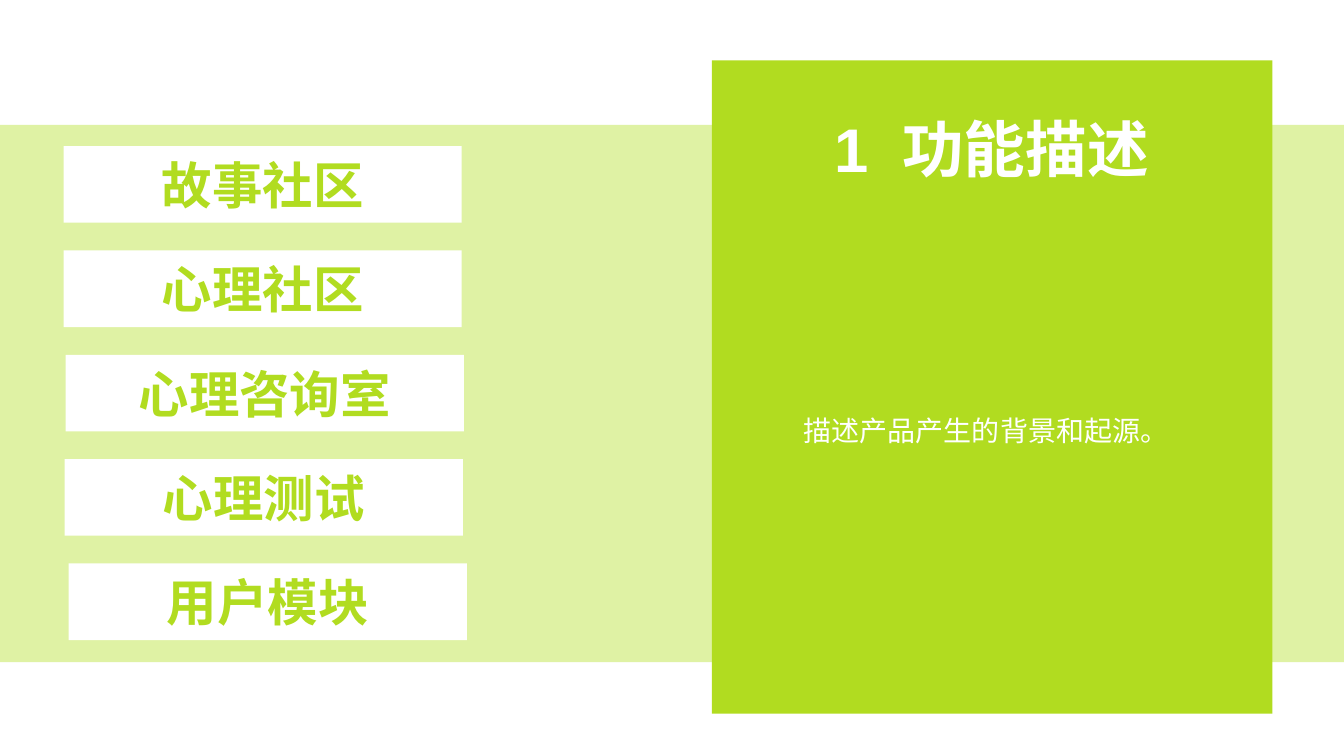
from pptx import Presentation
from pptx.dml.color import RGBColor
from pptx.enum import shapes, text
from pptx.oxml import parse_xml
from pptx.oxml.ns import nsdecls
from pptx.util import Inches, Pt

GREEN, PALE, WHITE = "B1DC20", "DFF2A4", "FFFFFF"
LATIN, CHINESE = "Arial", "Noto Sans CJK SC"

BAND = (0, 1.24, 13.33, 5.33)
PANEL = (7.06, 0.6, 5.56, 6.48)
TITLE_AREA = (7.73, 1.05, 4.21, 0.84)
SUMMARY_AREA = (7.77, 3.89, 4.02, 0.61)
TITLE = ["1", " ", "功能描述"]
NUMBER_GAP = 12  # points added after the section number
SUMMARY = ["描述产品产生的背景和起源。"]

# Label and left edge
MODULES = [
    ("故事社区", 0.63),
    ("心理社区", 0.63),
    ("心理咨询室", 0.65),
    ("心理测试", 0.64),
    ("用户模块", 0.68),
]
MODULE_TOP, MODULE_PITCH = 1.45, 1.035
MODULE_WIDTH, MODULE_HEIGHT = 3.95, 0.76


def color(value):
    return RGBColor.from_string(value)


def add_block(page, area, fill):
    block = page.shapes.add_shape(
        shapes.MSO_SHAPE.RECTANGLE, *(Inches(length) for length in area))
    block.shadow.inherit = False
    block.fill.solid()
    block.fill.fore_color.rgb = color(fill)
    block.line.fill.background()
    return block


def write(box, words, size, font, ink, bold=False, spacing=None):
    """Fill the box with one centred paragraph and return its spans."""
    box.text_frame.word_wrap = True
    para = box.text_frame.paragraphs[0]
    para.alignment = text.PP_ALIGN.CENTER
    if spacing:
        para.line_spacing = spacing
    formats = {"size": Pt(size), "bold": bold, "name": font}
    spans = []
    for word in words:
        span = para.add_run()
        span.text = word
        for name, value in formats.items():
            setattr(span.font, name, value)
        span.font.color.rgb = color(ink)
        latin = span._r.rPr.find("{*}latin")
        latin.addnext(parse_xml(f'<a:ea {nsdecls("a")} typeface="{CHINESE}"/>'))
        spans.append(span)
    return spans


def add_text(page, area, words, size, **look):
    box = page.shapes.add_textbox(*(Inches(length) for length in area))
    return write(box, words, size, LATIN, WHITE, **look)


def main():
    deck = Presentation()
    deck.slide_width, deck.slide_height = Inches(13.33), Inches(7.5)
    page = deck.slides.add_slide(deck.slide_layouts[6])

    add_block(page, BAND, PALE)
    add_block(page, PANEL, GREEN)
    add_text(page, SUMMARY_AREA, SUMMARY, 20, spacing=1.5)
    number, gap, heading = add_text(page, TITLE_AREA, TITLE, 44, bold=True)
    gap._r.rPr.set("spc", str(NUMBER_GAP * 100))

    for row, (label, left) in enumerate(MODULES):
        top = MODULE_TOP + row * MODULE_PITCH
        block = add_block(page, (left, top, MODULE_WIDTH, MODULE_HEIGHT), WHITE)
        block.text_frame.vertical_anchor = text.MSO_ANCHOR.MIDDLE
        write(block, [label], 36, CHINESE, GREEN, bold=True)

    deck.save("out.pptx")


if __name__ == "__main__":
    main()
